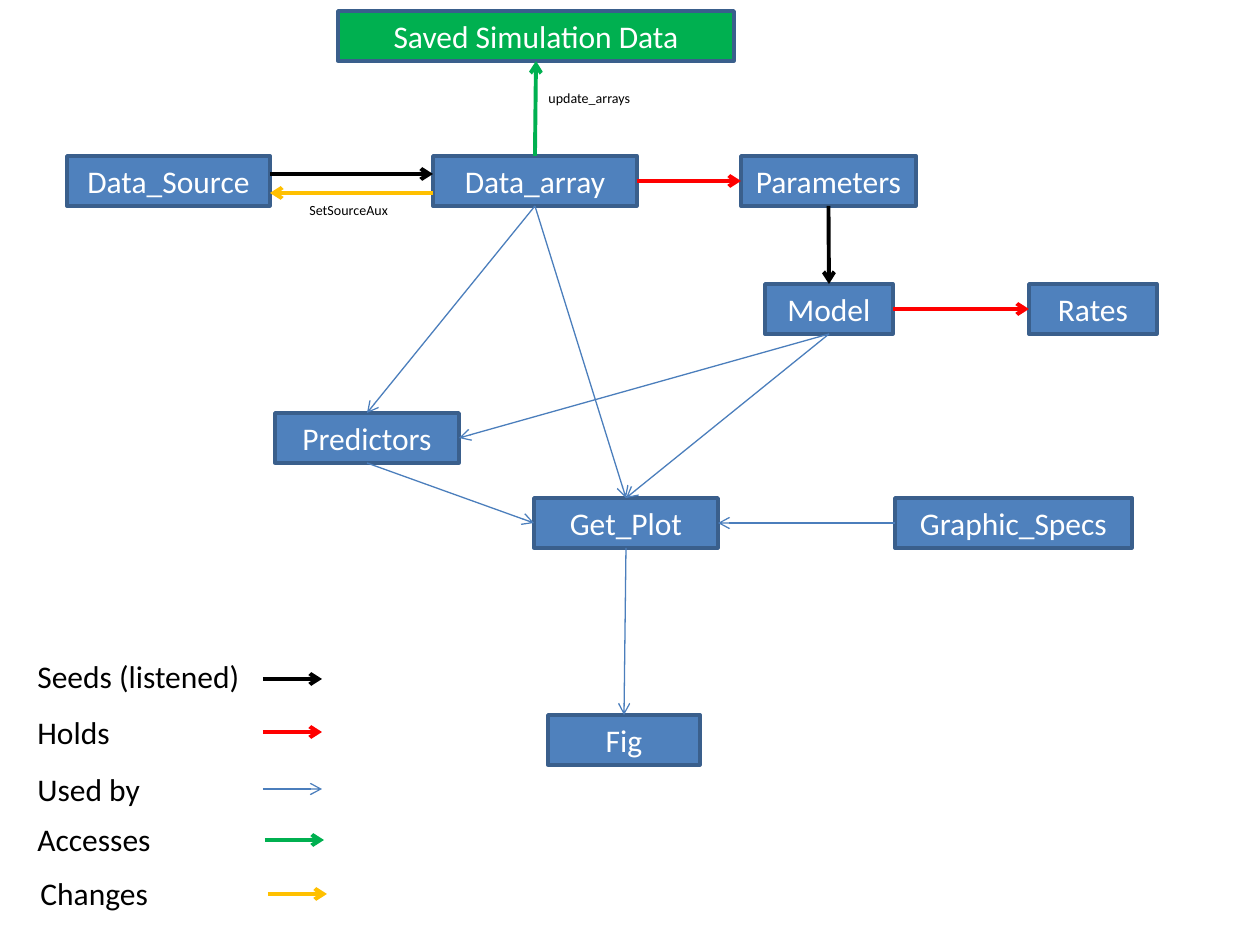
from dataclasses import dataclass
from enum import IntEnum

from lxml.etree import SubElement
from pptx import Presentation
from pptx.dml.color import RGBColor
from pptx.enum.shapes import MSO_CONNECTOR, MSO_SHAPE
from pptx.enum.text import MSO_ANCHOR, MSO_AUTO_SIZE, PP_ALIGN
from pptx.oxml.ns import qn
from pptx.util import Emu, Pt

PIXELS_PER_INCH = 126


def px(pixels: float) -> Emu:
    return Emu(round(pixels * 914400 / PIXELS_PER_INCH))


@dataclass(frozen=True)
class Theme:
    font: str = "Calibri"
    body_size: float = 18
    note_size: float = 8
    box_fill: str = "4F81BD"
    data_fill: str = "00B050"
    box_line: str = "3A5F8C"
    box_line_width: float = 2
    light_text: str = "FFFFFF"
    dark_text: str = "000000"


@dataclass(frozen=True)
class Relation:
    color: str
    width: float = 2.25


@dataclass(frozen=True)
class Node:
    text: str
    left: int
    top: int
    width: int
    fill: str = Theme.box_fill
    height: int = 50


class Side(IntEnum):
    TOP = 0
    LEFT = 1
    BOTTOM = 2
    RIGHT = 3


@dataclass(frozen=True)
class Link:
    source: str
    source_side: Side
    target: str
    target_side: Side
    relation: Relation


@dataclass(frozen=True)
class LegendEntry:
    text: str
    left: int
    top: int
    width: int
    arrow_left: int
    arrow_y: int
    relation: Relation


THEME = Theme()
SEEDS = Relation("000000")
HOLDS = Relation("FF0000")
USED_BY = Relation("4B7EBC", 0.75)
ACCESSES = Relation("00B050")
CHANGES = Relation("FFC000")

NODES = [
    Node("Saved Simulation Data", 338, 11, 396, THEME.data_fill),
    Node("Data_Source", 67, 156, 203),
    Node("Data_array", 433, 156, 204),
    Node("Parameters", 741, 156, 175),
    Node("Model", 765, 284, 128),
    Node("Rates", 1029, 284, 128),
    Node("Predictors", 275, 413, 184),
    Node("Get_Plot", 534, 498, 184),
    Node("Graphic_Specs", 895, 498, 237),
    Node("Fig", 548, 715, 152),
]

LINKS = [
    Link("Data_array", Side.TOP, "Saved Simulation Data", Side.BOTTOM, ACCESSES),
    Link("Data_array", Side.RIGHT, "Parameters", Side.LEFT, HOLDS),
    Link("Parameters", Side.BOTTOM, "Model", Side.TOP, SEEDS),
    Link("Model", Side.RIGHT, "Rates", Side.LEFT, HOLDS),
    Link("Data_array", Side.BOTTOM, "Predictors", Side.TOP, USED_BY),
    Link("Data_array", Side.BOTTOM, "Get_Plot", Side.TOP, USED_BY),
    Link("Model", Side.BOTTOM, "Predictors", Side.RIGHT, USED_BY),
    Link("Model", Side.BOTTOM, "Get_Plot", Side.TOP, USED_BY),
    Link("Predictors", Side.BOTTOM, "Get_Plot", Side.LEFT, USED_BY),
    Link("Graphic_Specs", Side.LEFT, "Get_Plot", Side.RIGHT, USED_BY),
    Link("Get_Plot", Side.BOTTOM, "Fig", Side.TOP, USED_BY),
]

LEGEND = [
    LegendEntry("Seeds (listened)", 25, 651, 246, 263, 679, SEEDS),
    LegendEntry("Holds", 25, 707, 258, 263, 732, HOLDS),
    LegendEntry("Used by", 25, 764, 258, 263, 789, USED_BY),
    LegendEntry("Accesses", 25, 814, 159, 265, 840, ACCESSES),
    LegendEntry("Changes", 28, 868, 159, 268, 894, CHANGES),
]
LEGEND_ARROW_LENGTH = 59


def write_text(shape, text: str, *, size: float = THEME.body_size,
               color: str = THEME.dark_text, align=PP_ALIGN.LEFT,
               anchor=MSO_ANCHOR.TOP, wrap: bool = True) -> None:
    frame = shape.text_frame
    frame.word_wrap = wrap
    frame.vertical_anchor = anchor
    paragraph = frame.paragraphs[0]
    paragraph.alignment = align
    run = paragraph.add_run()
    run.text = text
    run.font.name = THEME.font
    run.font.size = Pt(size)
    run.font.color.rgb = RGBColor.from_string(color)


def add_node(slide, node: Node):
    shape = slide.shapes.add_shape(MSO_SHAPE.RECTANGLE, px(node.left), px(node.top),
                                   px(node.width), px(node.height))
    shape.shadow.inherit = False
    shape.fill.solid()
    shape.fill.fore_color.rgb = RGBColor.from_string(node.fill)
    shape.line.color.rgb = RGBColor.from_string(THEME.box_line)
    shape.line.width = Pt(THEME.box_line_width)
    write_text(shape, node.text, color=THEME.light_text,
               align=PP_ALIGN.CENTER, anchor=MSO_ANCHOR.MIDDLE)
    return shape


def add_label(slide, text: str, left: int, top: int, width: int, height: int,
              **text_format) -> None:
    box = slide.shapes.add_textbox(px(left), px(top), px(width), px(height))
    write_text(box, text, **text_format)
    box.text_frame.auto_size = MSO_AUTO_SIZE.SHAPE_TO_FIT_TEXT


def add_arrow(slide, start: tuple[int, int], end: tuple[int, int], relation: Relation):
    connector = slide.shapes.add_connector(MSO_CONNECTOR.STRAIGHT, *start, *end)
    connector.line.color.rgb = RGBColor.from_string(relation.color)
    connector.line.width = Pt(relation.width)
    SubElement(connector.line._get_or_add_ln(), qn("a:tailEnd"), type="arrow")
    SubElement(connector._element.spPr, qn("a:effectLst"))
    return connector


def side_point(shape, side: Side) -> tuple[int, int]:
    center_x = shape.left + shape.width // 2
    center_y = shape.top + shape.height // 2
    return {
        Side.TOP: (center_x, shape.top),
        Side.LEFT: (shape.left, center_y),
        Side.BOTTOM: (center_x, shape.top + shape.height),
        Side.RIGHT: (shape.left + shape.width, center_y),
    }[side]


def add_link(slide, shapes: dict, link: Link) -> None:
    source, target = shapes[link.source], shapes[link.target]
    connector = add_arrow(slide, side_point(source, link.source_side),
                          side_point(target, link.target_side), link.relation)
    connector.begin_connect(source, link.source_side.value)
    connector.end_connect(target, link.target_side.value)


presentation = Presentation()
presentation.slide_width = px(1260)
presentation.slide_height = px(945)
slide = presentation.slides.add_slide(presentation.slide_layouts[6])

# Boxes and the arrows glued to them
shapes = {node.text: add_node(slide, node) for node in NODES}
for link in LINKS:
    add_link(slide, shapes, link)

# Two-way exchange between Data_Source and Data_array
add_arrow(slide, (px(270), px(174)), (px(433), px(174)), SEEDS)
add_arrow(slide, (px(433), px(193)), (px(270), px(193)), CHANGES)

# Method names beside arrows
add_label(slide, "update_arrays", 536, 83, 108, 30, size=THEME.note_size, wrap=False)
add_label(slide, "SetSourceAux", 297, 195, 105, 30, size=THEME.note_size, wrap=False)

# Legend
for entry in LEGEND:
    add_label(slide, entry.text, entry.left, entry.top, entry.width, 50)
    add_arrow(slide, (px(entry.arrow_left), px(entry.arrow_y)),
              (px(entry.arrow_left + LEGEND_ARROW_LENGTH), px(entry.arrow_y)),
              entry.relation)

presentation.save("out.pptx")
